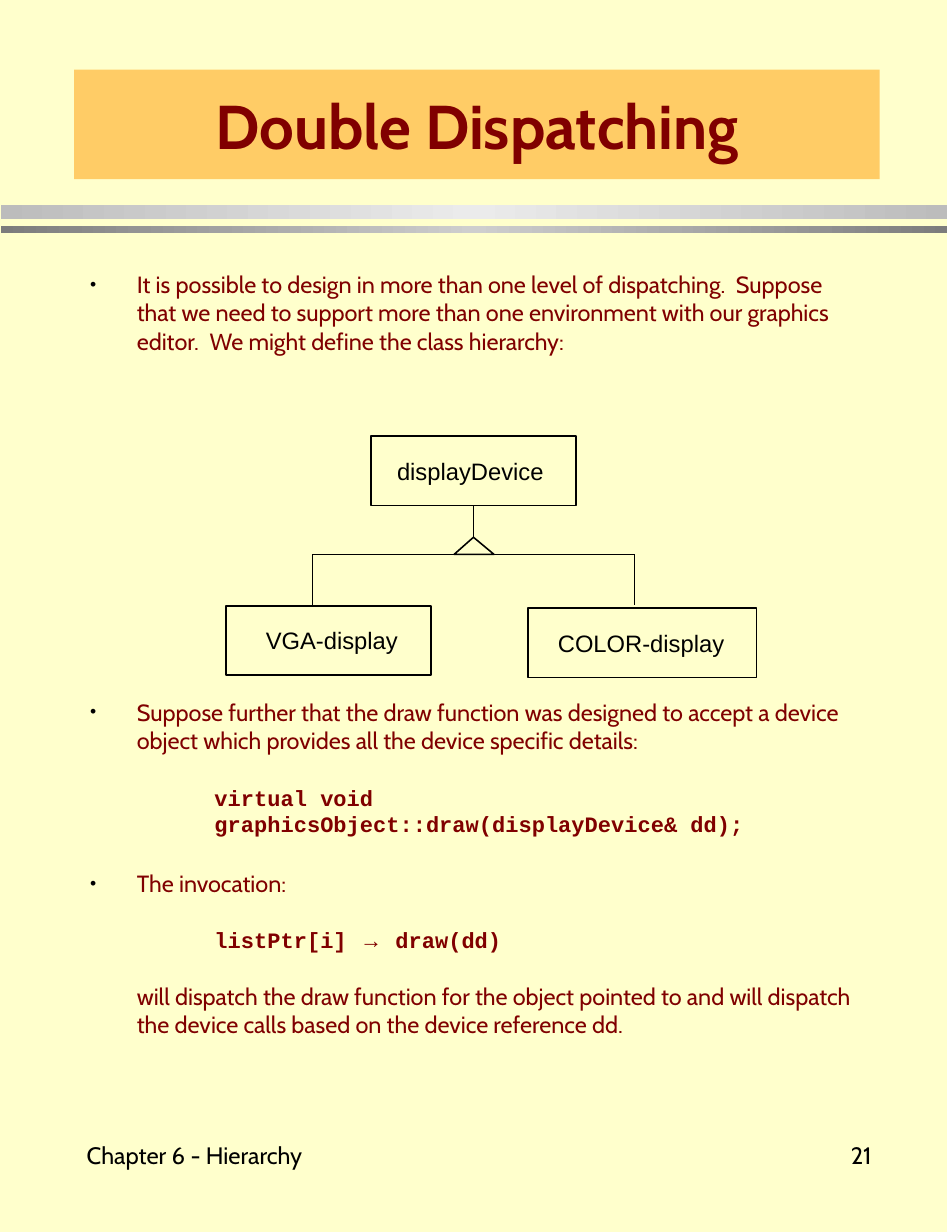
from copy import deepcopy

from lxml import etree
from pptx import Presentation
from pptx.dml.color import RGBColor
from pptx.enum import shapes, text
from pptx.oxml import ns
from pptx.util import Inches, Pt

CREAM = RGBColor(0xFF, 0xFF, 0xCC)
ORANGE = RGBColor(0xFF, 0xCC, 0x66)
MAROON = RGBColor(0x80, 0x00, 0x00)
BLACK = RGBColor(0x00, 0x00, 0x00)

TITLE = "Double Dispatching"
TITLE_AREA = (0.65, 0.61, 7.06, 0.96)
BODY_AREA = (0.48, 2.32, 7.42, 7.67)

PROSE = {"name": "Cabin", "size": Pt(14.8), "bold": False}
CODE = {"name": "Courier New", "size": Pt(13.9), "bold": True}
ARROW = {**CODE, "name": "Arial"}
LABEL = {"name": "Arial", "size": Pt(15)}
FOOTER = {"name": "Cabin", "size": Pt(15)}
HEADING = {"name": "Cabin", "size": Pt(39), "bold": True}

INDENTS = {"bullet": (0.41, -0.41), "plain": (0.41, 0), "code": (1.09, 0)}
BODY = [
    ("bullet", 0, [("It is possible to design in more than one level of dispatching.  "
                    "Suppose that we need to support more than one environment with our "
                    "graphics editor.  We might define the class hierarchy:", PROSE)]),
    ("bullet", 216.5, [("Suppose further that the draw function was designed to accept a device "
                        "object which provides all the device specific details:", PROSE)]),
    ("code", 19, [("virtual void", CODE)]),
    ("code", 0, [("graphicsObject::draw(displayDevice& dd);", CODE)]),
    ("bullet", 20.5, [("The invocation:", PROSE)]),
    ("code", 18.5, [("listPtr[i] ", CODE), ("→", ARROW), (" draw(dd)", CODE)]),
    ("plain", 18, [("will dispatch the draw function for the object pointed to and will "
                    "dispatch the device calls based on the device reference dd.", PROSE)]),
]

BANDS = [
    ((0.01, 1.8, 8.29, 0.12), ("BCBCBC", "EBEBEB", "BCBCBC")),
    ((0.01, 1.98, 8.29, 0.06), ("7C7C7C", "CECECE", "7C7C7C")),
]
FOOTERS = [
    ("Chapter 6 - Hierarchy", (0.65, 9.72, 2.58, 0.81), text.PP_ALIGN.LEFT),
    ("21", (6.09, 9.72, 1.66, 0.81), text.PP_ALIGN.RIGHT),
]
CLASSES = [
    ("displayDevice", (3.25, 3.82, 1.8, 0.61), 0.23),
    ("VGA-display", (1.98, 5.31, 1.8, 0.61), 0.35),
    ("COLOR-display", (4.63, 5.33, 2, 0.61), 0.26),
]
LEFT_X, MIDDLE_X, RIGHT_X = 2.74, 4.15, 5.56
PARENT_Y, JOIN_Y, CHILD_Y = 4.44, 4.86, 5.3
LINKS = [
    (LEFT_X, JOIN_Y, RIGHT_X, JOIN_Y),
    (LEFT_X, JOIN_Y, LEFT_X, CHILD_Y),
    (RIGHT_X, JOIN_Y, RIGHT_X, CHILD_Y),
    (MIDDLE_X, PARENT_Y, MIDDLE_X, JOIN_Y),
]
TRIANGLE = [(MIDDLE_X, 4.71), (3.98, JOIN_Y), (4.33, JOIN_Y)]


def set_attrs(target, values):
    for name, value in values.items():
        setattr(target, name, value)


def place(sp, area):
    names = ("left", "top", "width", "height")
    set_attrs(sp, dict(zip(names, map(Inches, area))))


def set_frame(tf, anchor, left=0.11, right=0.11):
    set_attrs(tf, {
        "word_wrap": True, "auto_size": text.MSO_AUTO_SIZE.NONE, "vertical_anchor": anchor,
        "margin_left": Inches(left), "margin_right": Inches(right),
        "margin_top": Inches(0.05), "margin_bottom": Inches(0.05),
    })


def add_run(p, words, style, color):
    r = p.add_run()
    r.text = words
    set_attrs(r.font, style)
    r.font.color.rgb = color


def set_fill(sp, color):
    sp.fill.solid()
    sp.fill.fore_color.rgb = color


def set_line(sp):
    sp.line.color.rgb = BLACK
    sp.line.width = Pt(1)


def set_indent(p, kind):
    pPr = p._p.get_or_add_pPr()
    for name, value in zip(("marL", "indent"), INDENTS[kind]):
        pPr.set(name, str(Inches(value)))
    if kind != "bullet":
        etree.SubElement(pPr, ns.qn("a:buNone"))
        return
    color = etree.SubElement(pPr, ns.qn("a:buClr"))
    etree.SubElement(color, ns.qn("a:srgbClr"), val=str(BLACK))
    etree.SubElement(pPr, ns.qn("a:buSzPct"), val="75000")
    etree.SubElement(pPr, ns.qn("a:buFont"), typeface="Arial")
    etree.SubElement(pPr, ns.qn("a:buChar"), char="•")


def add_box(s, area):
    sp = s.shapes.add_shape(shapes.MSO_SHAPE.RECTANGLE, *map(Inches, area))
    sp.shadow.inherit = False
    return sp


def add_bands(s):
    for area, colors in BANDS:
        sp = add_box(s, area)
        sp.line.fill.background()
        sp.fill.gradient()
        sp.fill.gradient_angle = 0
        stops = sp.element.spPr.find(".//" + ns.qn("a:gsLst"))
        stops.append(deepcopy(stops[0]))
        for stop, color, position in zip(sp.fill.gradient_stops, colors, (0, 0.5, 1)):
            stop.color.rgb = RGBColor.from_string(color)
            stop.position = position


def add_title(s):
    sp = s.shapes.title
    place(sp, TITLE_AREA)
    set_fill(sp, ORANGE)
    set_frame(sp.text_frame, text.MSO_ANCHOR.MIDDLE)
    p = sp.text_frame.paragraphs[0]
    p.alignment = text.PP_ALIGN.CENTER
    add_run(p, TITLE, HEADING, MAROON)


def add_body(s):
    sp = s.placeholders[1]
    place(sp, BODY_AREA)
    set_fill(sp, CREAM)
    tf = sp.text_frame
    set_frame(tf, text.MSO_ANCHOR.TOP, 0.31, 0.31)
    for i, (kind, gap, runs) in enumerate(BODY):
        p = tf.add_paragraph() if i else tf.paragraphs[0]
        set_indent(p, kind)
        p.space_before = Pt(gap)
        for words, style in runs:
            add_run(p, words, style, MAROON)


def add_footers(s):
    for words, area, alignment in FOOTERS:
        tf = s.shapes.add_textbox(*map(Inches, area)).text_frame
        set_frame(tf, text.MSO_ANCHOR.MIDDLE)
        p = tf.paragraphs[0]
        p.alignment = alignment
        add_run(p, words, FOOTER, BLACK)


def add_hierarchy(s):
    for name, area, inset in CLASSES:
        sp = add_box(s, area)
        sp.fill.background()
        set_line(sp)
        set_frame(sp.text_frame, text.MSO_ANCHOR.MIDDLE, inset, 0)
        p = sp.text_frame.paragraphs[0]
        p.alignment = text.PP_ALIGN.LEFT
        add_run(p, name, LABEL, BLACK)
    for ends in LINKS:
        link = s.shapes.add_connector(shapes.MSO_CONNECTOR.STRAIGHT, *map(Inches, ends))
        set_line(link)
        etree.SubElement(link.element.spPr, ns.qn("a:effectLst"))
    points = [(Inches(x), Inches(y)) for x, y in TRIANGLE]
    outline = s.shapes.build_freeform(*points[0])
    outline.add_line_segments(points[1:], close=True)
    sp = outline.convert_to_shape()
    sp.shadow.inherit = False
    set_fill(sp, CREAM)
    set_line(sp)


def main():
    prs = Presentation()
    set_attrs(prs, {"slide_width": Inches(8.3), "slide_height": Inches(10.8)})
    s = prs.slides.add_slide(prs.slide_layouts[1])
    set_fill(s.background, CREAM)
    for add_part in (add_bands, add_footers, add_body, add_hierarchy, add_title):
        add_part(s)
    prs.save("out.pptx")


if __name__ == "__main__":
    main()
